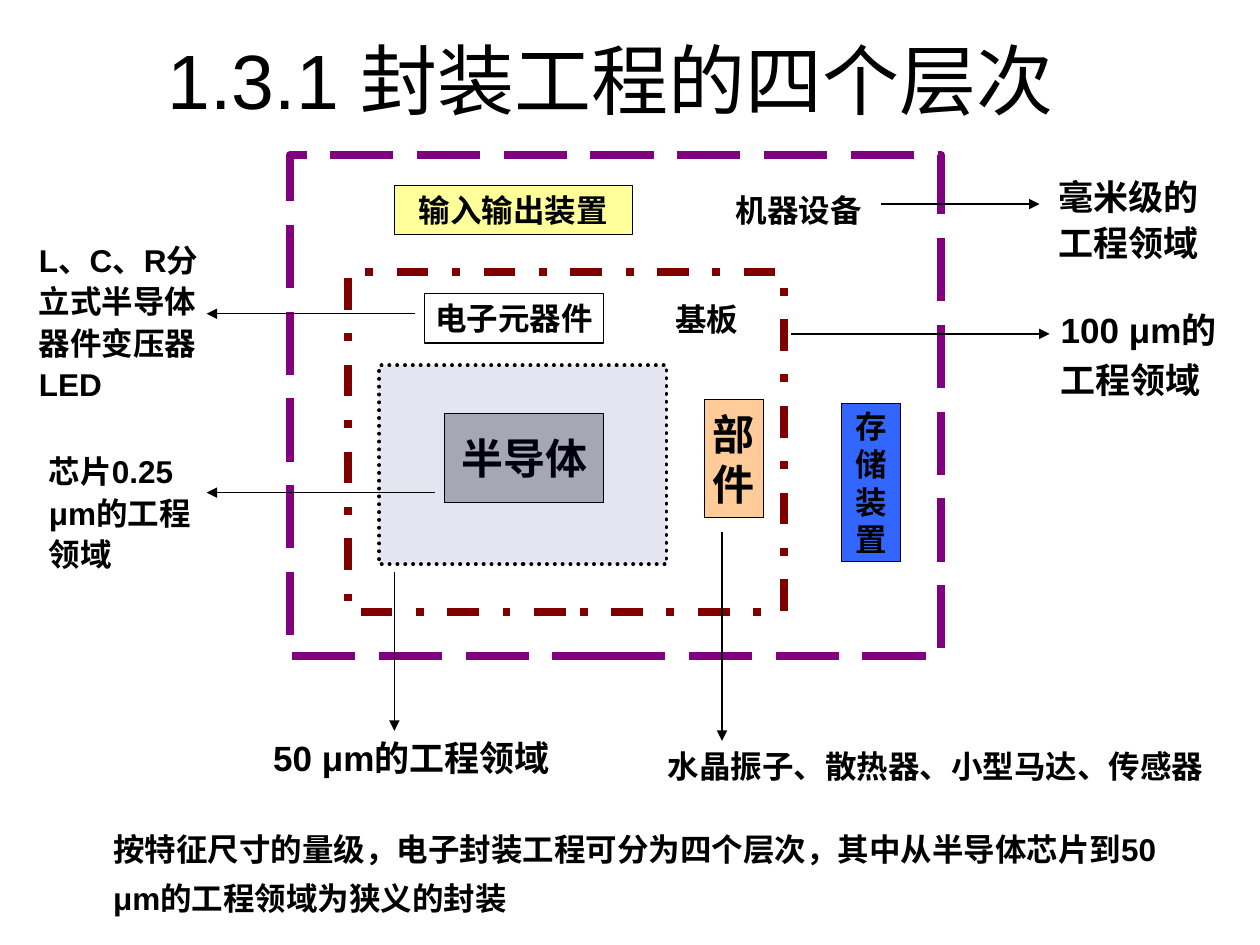
from typing import NamedTuple, Optional

from lxml import etree
from pptx import Presentation
from pptx.dml.color import RGBColor
from pptx.enum.dml import MSO_LINE
from pptx.enum.shapes import MSO_CONNECTOR, MSO_SHAPE
from pptx.enum.text import MSO_ANCHOR, MSO_AUTO_SIZE, PP_ALIGN
from pptx.oxml.ns import qn
from pptx.util import Inches, Pt

RECT, STRAIGHT = MSO_SHAPE.RECTANGLE, MSO_CONNECTOR.STRAIGHT
LONG_DASH, DASH_DOT, DOT = MSO_LINE.LONG_DASH, MSO_LINE.DASH_DOT, MSO_LINE.ROUND_DOT
CENTER, MIDDLE = PP_ALIGN.CENTER, MSO_ANCHOR.MIDDLE
GROW = MSO_AUTO_SIZE.SHAPE_TO_FIT_TEXT

BLACK = RGBColor(0x00, 0x00, 0x00)
WHITE = RGBColor(0xFF, 0xFF, 0xFF)
GRAY = RGBColor(0x80, 0x80, 0x80)
NAVY = RGBColor(0x00, 0x00, 0x80)
MAROON = RGBColor(0x80, 0x00, 0x00)
PURPLE = RGBColor(0x80, 0x00, 0x80)
PEACH = RGBColor(0xFF, 0xCC, 0x99)
YELLOW = RGBColor(0xFF, 0xFF, 0x99)
BLUE = RGBColor(0x33, 0x66, 0xFF)

FONT = "Arial"
SLIDE_W, SLIDE_H = Inches(10), Inches(7.5)
COLUMNS = 100  # square cells: 100 columns by 75 rows
CELL = SLIDE_W / COLUMNS


class Area(NamedTuple):
    """Column, row, width and height in grid cells."""
    col: float
    row: float
    cols: float
    rows: float


class Block(NamedTuple):
    area: Area
    text: str = ""
    size: float = 18
    fill: Optional[RGBColor] = None
    opacity: int = 100
    line: RGBColor = BLACK
    weight: float = 0.75
    dash: Optional[MSO_LINE] = None


class Label(NamedTuple):
    area: Area
    text: str
    size: float = 18
    spacing: float = 1.0
    wrap: bool = True


class Arrow(NamedTuple):
    start: tuple[float, float]
    end: tuple[float, float]


BLOCKS = [
    Block(Area(35.3, 32.8, 12.6, 7.1), "半导体", 24, GRAY, 54),
    Block(Area(30.1, 29, 22.8, 15.8), fill=NAVY, opacity=10, weight=2.25, dash=DOT),
    Block(Area(27.6, 21.6, 34.6, 27), line=MAROON, weight=4.5, dash=DASH_DOT),
    Block(Area(55.9, 31.7, 4.7, 9.4), "部\n件", 24, PEACH),
    Block(Area(33.7, 23.3, 14.2, 3.9), "电子元器件", fill=WHITE, weight=1),
    Block(Area(23, 12.3, 51.7, 39.8), line=PURPLE, weight=4.5, dash=LONG_DASH),
    Block(Area(31.3, 14.7, 18.9, 3.9), "输入输出装置", fill=YELLOW),
    Block(Area(66.8, 32, 4.7, 12.6), "存\n储\n装\n置", fill=BLUE),
]
LABELS = [
    Label(Area(52.6, 23.3, 7, 4), "基板", wrap=False),
    Label(Area(57.4, 14.7, 12, 4), "机器设备", wrap=False),
    Label(Area(83, 13.1, 13.6, 8.4), "毫米级的工程领域", 20, 1.1),
    Label(Area(83.2, 23.3, 17.1, 9), "100 μm的工程领域", 20, 1.2),
    Label(Area(2.1, 18.3, 14.8, 14.2), "L、C、R分立式半导体器件变压器LED", spacing=1.1),
    Label(Area(2.9, 35.1, 13.6, 10.9), "芯片0.25 μm的工程领域", spacing=1.1),
    Label(Area(20.7, 58, 24.6, 4.4), "50 μm的工程领域", 20, wrap=False),
    Label(Area(52, 58.8, 44.5, 4), "水晶振子、散热器、小型马达、传感器", wrap=False),
    Label(Area(8, 64.5, 86.8, 8.8),
          "按特征尺寸的量级，电子封装工程可分为四个层次，"
          "其中从半导体芯片到50 μm的工程领域为狭义的封装", spacing=1.3),
]
ARROWS = [
    Arrow((69.9, 16.2), (82.5, 16.2)),
    Arrow((62.8, 26.5), (83.3, 26.5)),
    Arrow((32.9, 24.9), (16.4, 24.9)),
    Arrow((34.5, 39.1), (16.4, 39.1)),
    Arrow((31.3, 45.4), (31.3, 58)),
    Arrow((57.3, 42.2), (57.3, 58.8)),
]


def cells(*counts: float) -> list[int]:
    return [round(count * CELL) for count in counts]


def write(tf, text: str, size: float, bold: bool = True,
          align: Optional[PP_ALIGN] = None, spacing: float = 1.0) -> None:
    tf.text = text
    for p in tf.paragraphs:
        p.alignment = align
        p.line_spacing = spacing
        p.font.name, p.font.size, p.font.bold = FONT, Pt(size), bold
        p.font.color.rgb = BLACK


def draw_block(slide, block: Block) -> None:
    sp = slide.shapes.add_shape(RECT, *cells(*block.area))
    sp.shadow.inherit = False
    if block.fill is None:
        sp.fill.background()
    else:
        sp.fill.solid()
        sp.fill.fore_color.rgb = block.fill
        if block.opacity < 100:
            color = sp._element.spPr.find(qn("a:solidFill"))[0]
            etree.SubElement(color, qn("a:alpha"), val=str(block.opacity * 1000))
    sp.line.color.rgb = block.line
    sp.line.width = Pt(block.weight)
    if block.dash is not None:
        sp.line.dash_style = block.dash
    if block.dash == DOT:
        sp._element.spPr.find(qn("a:ln")).set("cap", "rnd")
    if block.text:
        tf = sp.text_frame
        tf.word_wrap = False
        tf.vertical_anchor = MIDDLE
        write(tf, block.text, block.size, align=CENTER)


def draw_label(slide, label: Label) -> None:
    tf = slide.shapes.add_textbox(*cells(*label.area)).text_frame
    tf.word_wrap = label.wrap
    tf.auto_size = GROW
    write(tf, label.text, label.size, spacing=label.spacing)


def draw_arrow(slide, arrow: Arrow) -> None:
    line = slide.shapes.add_connector(STRAIGHT, *cells(*arrow.start, *arrow.end))
    line.line.color.rgb = BLACK
    line.line.width = Pt(0.75)
    sp_pr = line._element.spPr
    etree.SubElement(sp_pr.find(qn("a:ln")), qn("a:tailEnd"), type="triangle")
    etree.SubElement(sp_pr, qn("a:effectLst"))


def main() -> None:
    prs = Presentation()
    prs.slide_width, prs.slide_height = SLIDE_W, SLIDE_H
    slide = prs.slides.add_slide(prs.slide_layouts[5])

    title = slide.shapes.title
    title.left, title.top, title.width, title.height = cells(3.5, 0, 90, 12.5)
    title.text_frame.vertical_anchor = MIDDLE
    write(title.text_frame, "1.3.1 封装工程的四个层次", 44, bold=False, align=CENTER)

    for block in BLOCKS:
        draw_block(slide, block)
    for label in LABELS:
        draw_label(slide, label)
    for arrow in ARROWS:
        draw_arrow(slide, arrow)
    prs.save("out.pptx")


if __name__ == "__main__":
    main()
